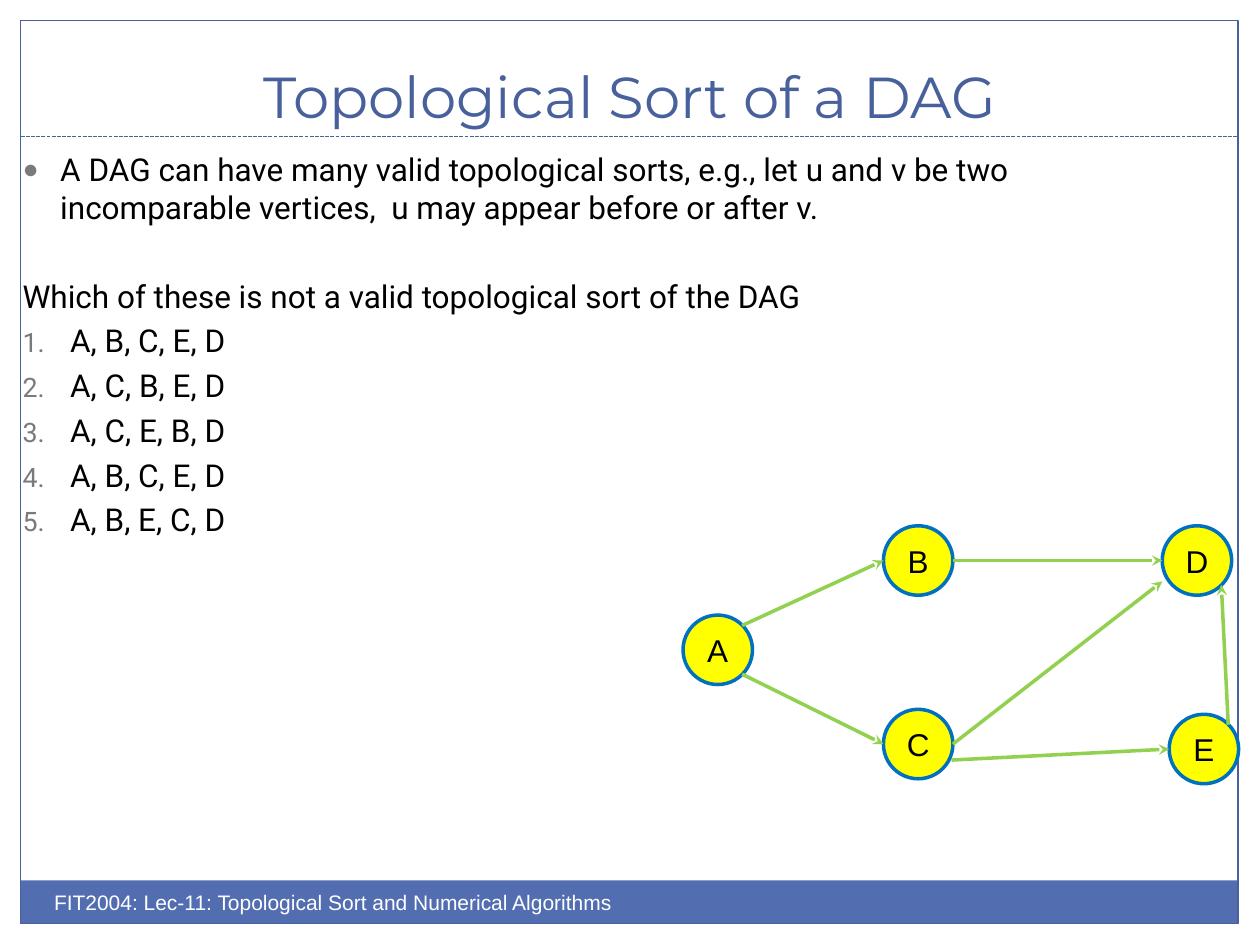
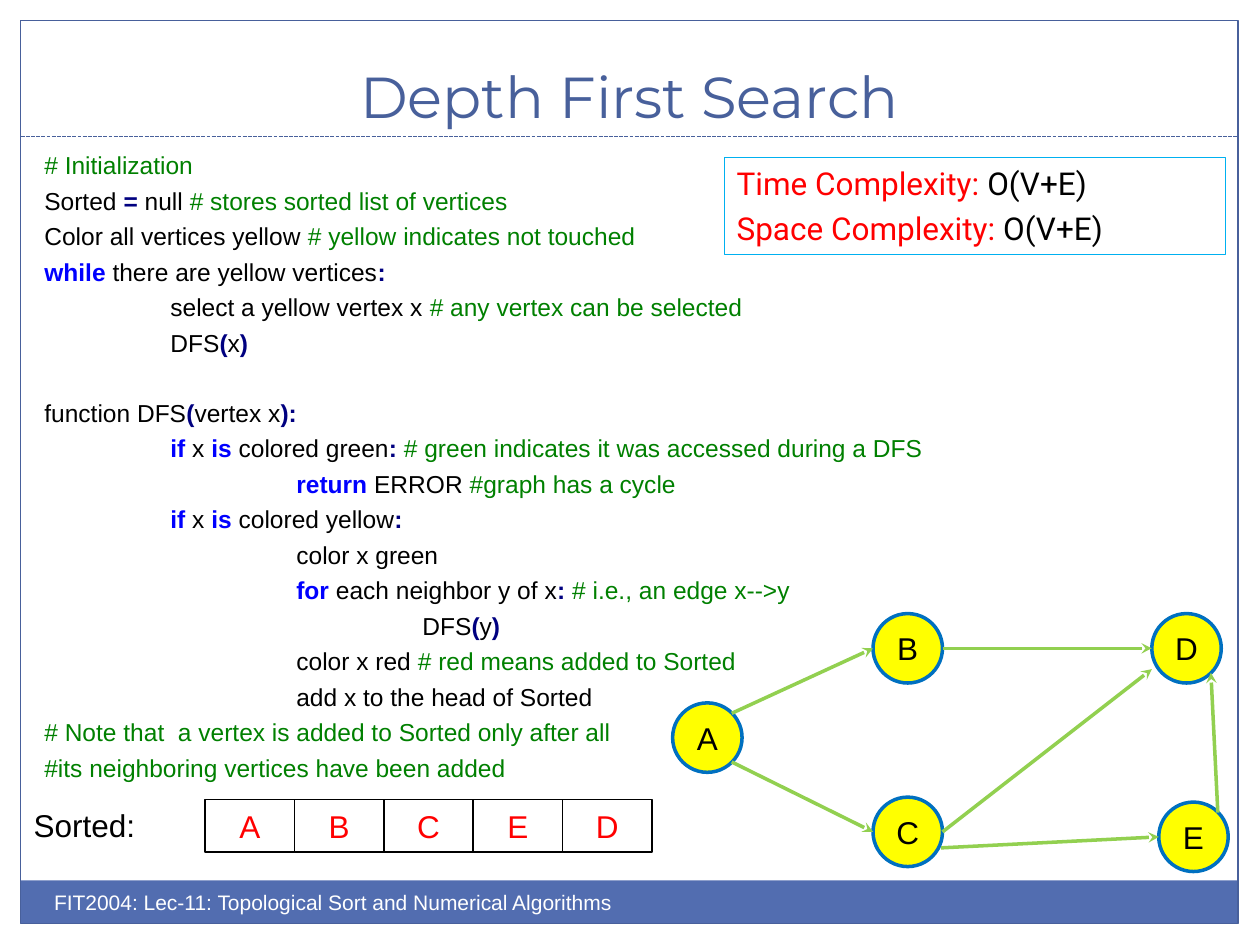
"""Builds two lecture slides on topological sorting and depth first search."""
import pptx
import pptx.dml.color
import pptx.enum.dml
import pptx.enum.shapes
import pptx.enum.text
import pptx.oxml.ns
import pptx.oxml.xmlchemy
import pptx.util

Cm, Pt = pptx.util.Cm, pptx.util.Pt
RGBColor = pptx.dml.color.RGBColor
SHAPE = pptx.enum.shapes.MSO_SHAPE
STRAIGHT = pptx.enum.shapes.MSO_CONNECTOR.STRAIGHT
ANCHOR = pptx.enum.text.MSO_ANCHOR
CENTER = pptx.enum.text.PP_ALIGN.CENTER
OxmlElement = pptx.oxml.xmlchemy.OxmlElement
qn = pptx.oxml.ns.qn

BAND = RGBColor(0x52, 0x6D, 0xB0)
FRAME = RGBColor(0x48, 0x60, 0x9B)
WHITE = RGBColor(0xFF, 0xFF, 0xFF)
BLACK = RGBColor(0, 0, 0)
RED = RGBColor(0xFF, 0, 0)
YELLOW = RGBColor(0xFF, 0xFF, 0)
NODE_LINE = RGBColor(0, 0x70, 0xC0)
EDGE_GREEN = RGBColor(0x92, 0xD0, 0x50)
BOX_LINE = RGBColor(0, 0xB0, 0xF0)
COMMENT_GREEN = RGBColor(0, 0x80, 0)
KEYWORD_BLUE = RGBColor(0, 0, 0xFF)
SIGN_NAVY = RGBColor(0, 0, 0x80)

PLAIN = (BLACK, False)
NOTE = (COMMENT_GREEN, False)
KEYWORD = (KEYWORD_BLUE, True)
SIGN = (SIGN_NAVY, True)


def add_span(para, text, size, font, colour, bold=False):
    span = para.add_run()
    span.text = text
    span.font.size = Pt(size)
    span.font.name = font
    span.font.color.rgb = colour
    span.font.bold = bold


def set_indent(para, left, hanging, before, marker, **marker_values):
    para.space_before = Pt(before)
    settings = para._p.get_or_add_pPr()
    settings.set("marL", str(Cm(left)))
    settings.set("indent", str(-Cm(hanging)))
    if marker != "buNone":
        colour = settings.makeelement(qn("a:buClr"), {})
        colour.append(colour.makeelement(qn("a:srgbClr"), {"val": "7A7A7A"}))
        settings.append(colour)
        settings.append(settings.makeelement(qn("a:buSzPct"), {"val": "85000"}))
    settings.append(settings.makeelement(qn("a:" + marker), marker_values))


deck = pptx.Presentation()
deck.slide_width, deck.slide_height = Cm(25.4), Cm(19.05)
layout = deck.slide_layouts[1]
sort_page = deck.slides.add_slide(layout)
search_page = deck.slides.add_slide(layout)

for holder in list(layout.placeholders):
    if holder.placeholder_format.idx >= 10:
        layout.shapes.element.remove(holder.element)

band = sort_page.shapes.add_shape(SHAPE.RECTANGLE, Cm(0.42), Cm(17.75), Cm(24.54), Cm(0.87))
band.shadow.inherit = False
band.fill.solid()
band.fill.fore_color.rgb = BAND
band.line.fill.background()

frame = sort_page.shapes.add_shape(SHAPE.RECTANGLE, Cm(0.42), Cm(0.42), Cm(24.54), Cm(18.2))
frame.shadow.inherit = False
frame.fill.background()
frame.line.color.rgb = FRAME
frame.line.width = Pt(0.75)

rule = sort_page.shapes.add_connector(STRAIGHT, Cm(0.42), Cm(2.75), Cm(24.96), Cm(2.75))
rule.line.color.rgb = FRAME
rule.line.width = Pt(0.75)
rule.line.dash_style = pptx.enum.dml.MSO_LINE.SQUARE_DOT
rule.element.spPr.append(OxmlElement("a:effectLst"))

footer = sort_page.shapes.add_textbox(Cm(0.84), Cm(17.8), Cm(12.7), Cm(1))
footer.text_frame.word_wrap = True
add_span(footer.text_frame.paragraphs[0],
         "FIT2004: Lec-11: Topological Sort and Numerical Algorithms", 12, "Arial", WHITE)

for shared in (band, frame, rule, footer):
    layout.shapes.element.append(shared.element)

for page, heading, body_area in (
    (sort_page, "Topological Sort of a DAG", (0.2, 2.9, 24.33, 12.7)),
    (search_page, "Depth First Search", (0.64, 2.9, 23.42, 10.57)),
):
    title = page.shapes.title
    title.left, title.top, title.width, title.height = Cm(0.84), Cm(0.64), Cm(23.7), Cm(2.11)
    title.text_frame.vertical_anchor = ANCHOR.BOTTOM
    title.text_frame.auto_size = pptx.enum.text.MSO_AUTO_SIZE.NONE
    title.text_frame.paragraphs[0].alignment = CENTER
    add_span(title.text_frame.paragraphs[0], heading, 33, "Montserrat", FRAME)
    body = page.placeholders[1]
    body.left, body.top, body.width, body.height = map(Cm, body_area)
    body.text_frame.auto_size = pptx.enum.text.MSO_AUTO_SIZE.NONE

question = sort_page.placeholders[1].text_frame
question.margin_right = Cm(1)
para = question.paragraphs[0]
set_indent(para, 0.76, 0.76, 4, "buChar", char="●")
add_span(para, "A DAG can have many valid topological sorts, e.g., let u and v be two "
         "incomparable vertices,  u may appear before or after v.", 18, "Roboto", BLACK)
para = question.add_paragraph()
set_indent(para, 0, 0, 29, "buNone")
add_span(para, "Which of these is not a valid topological sort of the DAG", 18, "Roboto", BLACK)
for order in ("A, B, C, E, D", "A, C, B, E, D", "A, C, E, B, D", "A, B, C, E, D", "A, B, E, C, D"):
    para = question.add_paragraph()
    set_indent(para, 0.96, 0.96, 4, "buAutoNum", type="arabicPeriod")
    add_span(para, order, 18, "Roboto", BLACK)

code_lines = [
    (0, (NOTE, "# Initialization")),
    (0, (PLAIN, "Sorted "), (SIGN, "="), (PLAIN, " null "),
     (NOTE, "# stores sorted list of vertices")),
    (0, (PLAIN, "Color all vertices yellow "), (NOTE, "# yellow indicates not touched")),
    (0, (KEYWORD, "while"), (PLAIN, " there are yellow vertices"), (SIGN, ":")),
    (1, (PLAIN, "select a yellow vertex x "), (NOTE, "# any vertex can be selected")),
    (1, (PLAIN, "DFS"), (SIGN, "("), (PLAIN, "x"), (SIGN, ")")),
    (0, (PLAIN, "function DFS"), (SIGN, "("), (PLAIN, "vertex x"), (SIGN, "):")),
    (1, (KEYWORD, "if"), (PLAIN, " x "), (KEYWORD, "is"), (PLAIN, " colored green"), (SIGN, ":"),
     (NOTE, " # green indicates it was accessed during a DFS")),
    (2, (KEYWORD, "return"), (PLAIN, " ERROR "), (NOTE, "#graph has a cycle")),
    (1, (KEYWORD, "if"), (PLAIN, " x "), (KEYWORD, "is"), (PLAIN, " colored yellow"), (SIGN, ":")),
    (2, (PLAIN, "color x green")),
    (2, (KEYWORD, "for"), (PLAIN, " each neighbor y of x"), (SIGN, ":"),
     (NOTE, " # i.e., an edge x-->y")),
    (3, (PLAIN, "DFS"), (SIGN, "("), (PLAIN, "y"), (SIGN, ")")),
    (2, (PLAIN, "color x red "), (NOTE, "# red means added to Sorted")),
    (2, (PLAIN, "add x to the head of Sorted")),
    (0, (NOTE, "# Note that  a vertex is added to Sorted only after all")),
    (0, (NOTE, "#its neighboring vertices have been added")),
]
code = search_page.placeholders[1].text_frame
for number, (depth, *tokens) in enumerate(code_lines):
    para = code.add_paragraph() if number else code.paragraphs[0]
    starts_function = tokens[0][1].startswith("function")
    set_indent(para, 2.54 * depth, 0, 23.1 if starts_function else 3.5, "buNone")
    for (colour, bold), text in tokens:
        add_span(para, text, 14, "Arial", colour, bold)

NODE_SIZE = 1.4
nodes = {"C": (4.04, 1.9), "B": (4.04, -1.8), "E": (9.8, 2), "D": (9.66, -1.8), "A": (0, 0)}
LEFT, RIGHT = (0, 0.5), (1, 0.5)
UPPER_RIGHT, LOWER_RIGHT = (0.85, 0.15), (0.85, 0.85)
edges = [
    ("A", UPPER_RIGHT, "B", LEFT),
    ("A", LOWER_RIGHT, "C", LEFT),
    ("B", RIGHT, "D", LEFT),
    ("E", UPPER_RIGHT, "D", LOWER_RIGHT),
    ("C", RIGHT, "D", (0, 0.8)),
    ("C", (0.98, 0.73), "E", LEFT),
]
for page, graph_left, graph_top in ((sort_page, 13.77, 12.4), (search_page, 13.56, 14.17)):
    for name, (across, down) in nodes.items():
        node = page.shapes.add_shape(SHAPE.OVAL, Cm(graph_left + across), Cm(graph_top + down),
                                     Cm(NODE_SIZE), Cm(NODE_SIZE))
        node.shadow.inherit = False
        node.fill.solid()
        node.fill.fore_color.rgb = YELLOW
        node.line.color.rgb = NODE_LINE
        node.line.width = Pt(2)
        node.text_frame.margin_left = node.text_frame.margin_right = 0
        node.text_frame.vertical_anchor = ANCHOR.MIDDLE
        node.text_frame.paragraphs[0].alignment = CENTER
        add_span(node.text_frame.paragraphs[0], name, 18, "Arial", BLACK)
    for start, start_site, end, end_site in edges:
        ends = [Cm(origin + place + NODE_SIZE * share)
                for name, site in ((start, start_site), (end, end_site))
                for origin, place, share in zip((graph_left, graph_top), nodes[name], site)]
        edge = page.shapes.add_connector(STRAIGHT, *ends)
        edge.line.color.rgb = EDGE_GREEN
        edge.line.width = Pt(2)
        arrowhead = OxmlElement("a:tailEnd")
        arrowhead.set("type", "stealth")
        edge.element.spPr.find(qn("a:ln")).append(arrowhead)
        edge.element.spPr.append(OxmlElement("a:effectLst"))

label = search_page.shapes.add_textbox(Cm(0.43), Cm(16.13), Cm(2.6), Cm(1.02))
label.text_frame.word_wrap = False
add_span(label.text_frame.paragraphs[0], "Sorted:", 18, "Arial", BLACK)

for position, name in enumerate("ABCED"):
    cell = search_page.shapes.add_shape(SHAPE.RECTANGLE, Cm(4.14 + 1.8 * position), Cm(16.12),
                                        Cm(1.8), Cm(1.06))
    cell.shadow.inherit = False
    cell.fill.background()
    cell.line.color.rgb = BLACK
    cell.line.width = Pt(1)
    cell.text_frame.vertical_anchor = ANCHOR.MIDDLE
    cell.text_frame.paragraphs[0].alignment = CENTER
    add_span(cell.text_frame.paragraphs[0], name, 18, "Arial", RED)

complexity = search_page.shapes.add_textbox(Cm(14.6), Cm(3.18), Cm(10.1), Cm(1.95))
complexity.line.color.rgb = BOX_LINE
complexity.line.width = Pt(0.75)
complexity.text_frame.word_wrap = True
for number, measure in enumerate(("Time", "Space")):
    para = complexity.text_frame.add_paragraph() if number else complexity.text_frame.paragraphs[0]
    para.space_before = Pt(4)
    add_span(para, f"{measure} Complexity: ", 18, "Roboto", RED)
    add_span(para, "O(V+E)", 18, "Roboto", BLACK)

deck.save("out.pptx")
